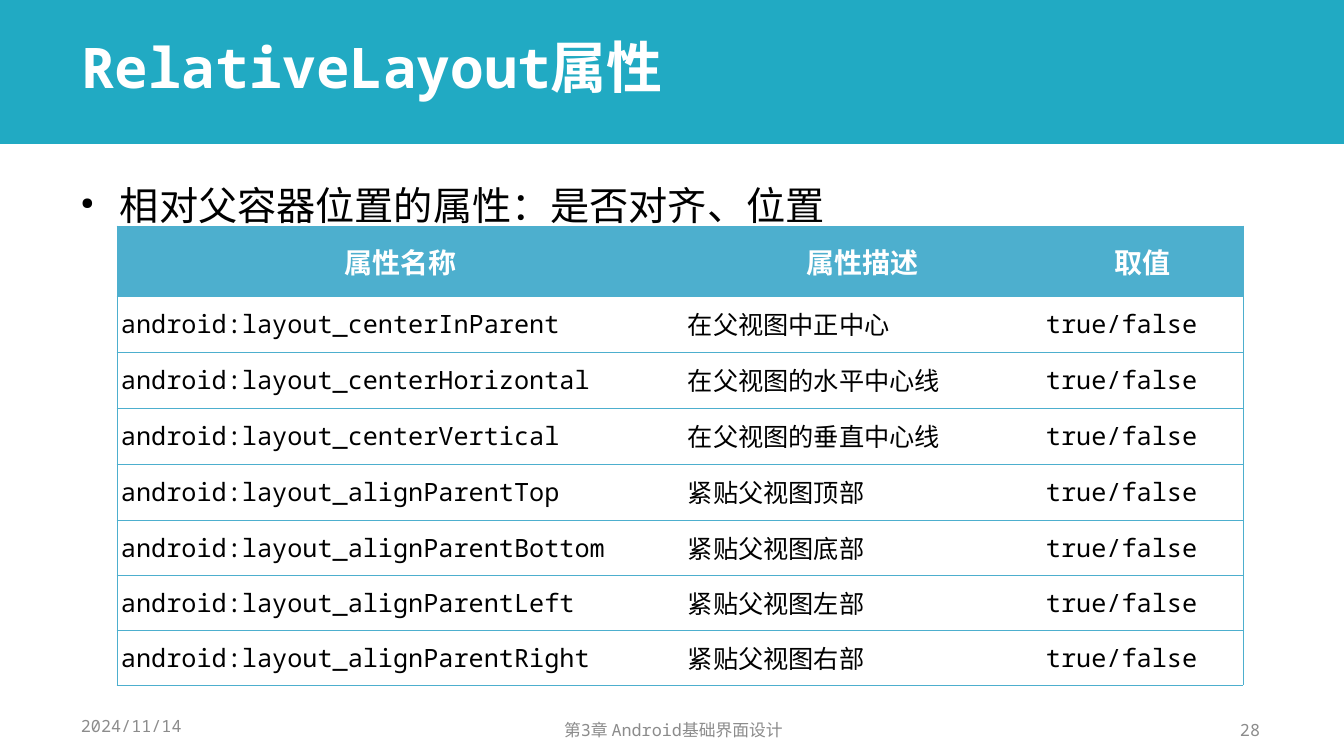
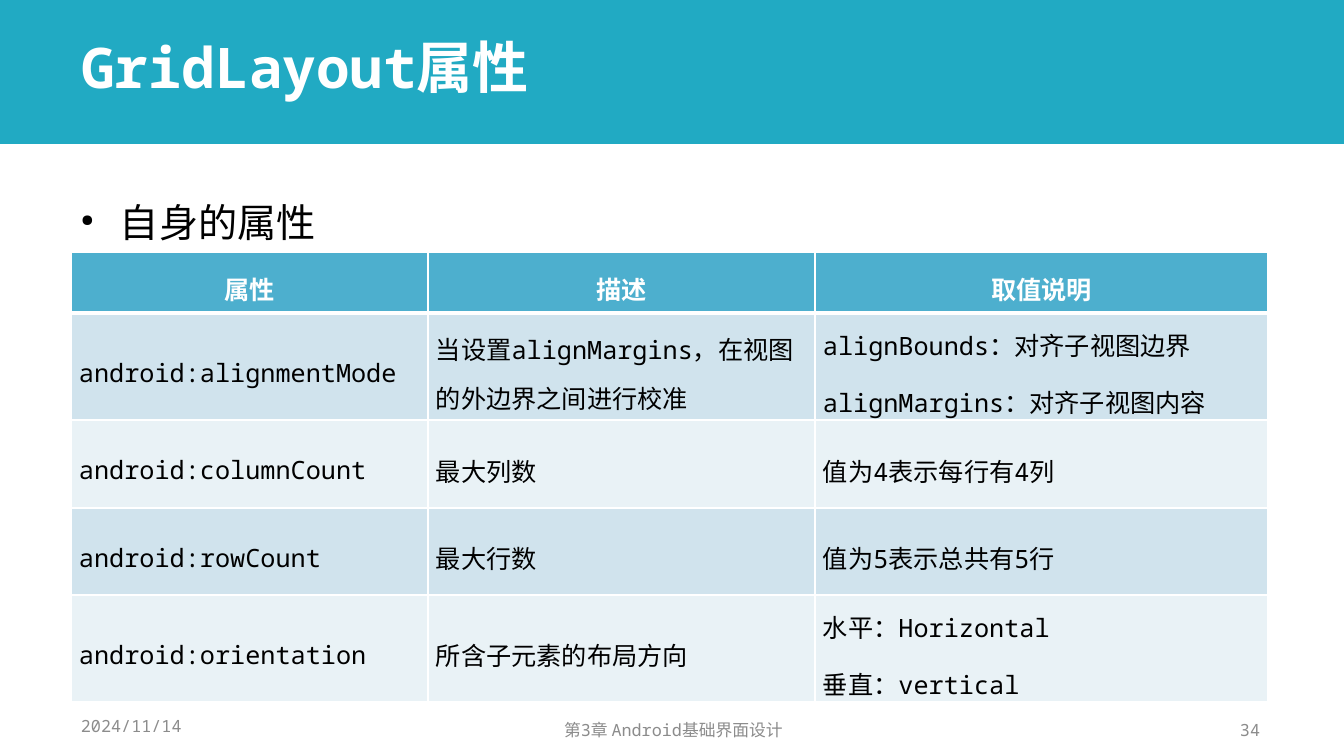
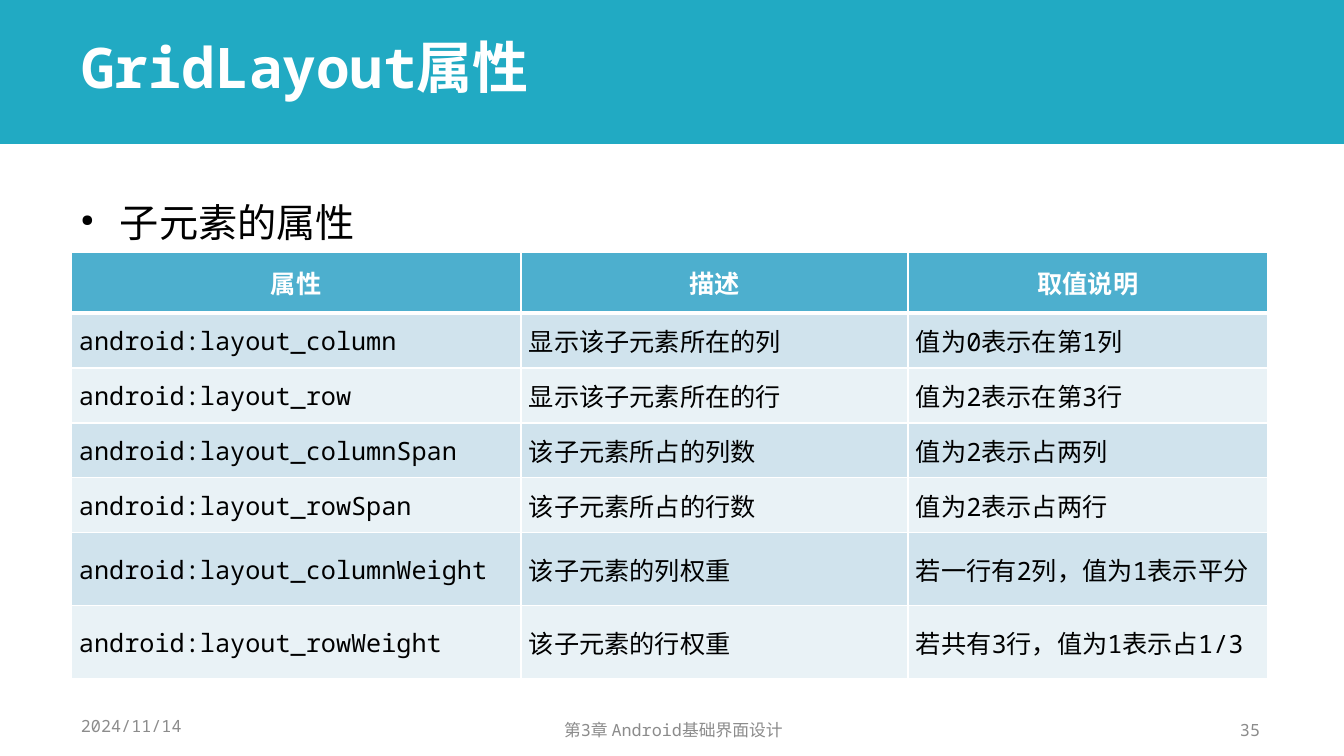
from lxml.etree import SubElement
from pptx import Presentation
from pptx.dml.color import RGBColor
from pptx.enum.lang import MSO_LANGUAGE_ID as Language
from pptx.enum.shapes import MSO_SHAPE as Shape
from pptx.enum.text import MSO_ANCHOR as Anchor, MSO_AUTO_SIZE as AutoSize, PP_ALIGN as Align
from pptx.oxml.ns import qn
from pptx.util import Emu, Pt

SLIDE_WIDTH, SLIDE_HEIGHT = 1344, 756
SCALE = 12192000 / SLIDE_WIDTH
FONT = "Noto Sans Mono"
BAND, ACCENT, GREY = "21AAC3", "4DAFCE", "8C8C8C"
WHITE, BLACK = "FFFFFF", "000000"
STRIPES = ("D0E3ED", "E9F2F6")
TITLE_ONLY = 5

TITLE_BOX = (71, 13, 1197, 93)
BAND_BOX = (-2, -6, 1346, 150)
FOOTERS = [
    ((71, 714, 153, 23), Align.LEFT, "2024/11/14"),
    ((445, 718, 457, 23), Align.CENTER, "第3章 Android基础界面设计"),
]
NUMBER_BOX = (1184, 718, 86, 23)

TITLE_STYLE = {"size": Pt(40), "bold": True, "color": WHITE}
BULLET_STYLE = {"size": Pt(28), "bold": False, "color": BLACK}
FOOTER_STYLE = {"size": Pt(12), "bold": False, "color": GREY}
CELL_STYLE = {"size": Pt(18), "bold": False, "color": BLACK}

LINED = {"head_size": 20, "margin": 4, "fills": (WHITE, WHITE), "line": ACCENT,
         "widths": (0.5, 0.5), "inner_verticals": False}
BANDED = {"head_size": 18, "margin": 8, "fills": STRIPES, "line": WHITE,
          "widths": (1, 3), "inner_verticals": True}

PAGES = [
    {
        "number": 28, "title": "RelativeLayout属性",
        "bullet": "相对父容器位置的属性：是否对齐、位置", "bullet_top": 160,
        "corner": (117, 226), "columns": (567, 358, 201),
        "heights": (70, *[56] * 4, *[55] * 3), "spacing": 1.0, "look": LINED,
        "rows": [
            ("属性名称", "属性描述", "取值"),
            *((f"android:layout_{name}", meaning, "true/false") for name, meaning in (
                ("centerInParent", "在父视图中正中心"),
                ("centerHorizontal", "在父视图的水平中心线"),
                ("centerVertical", "在父视图的垂直中心线"),
                ("alignParentTop", "紧贴父视图顶部"),
                ("alignParentBottom", "紧贴父视图底部"),
                ("alignParentLeft", "紧贴父视图左部"),
                ("alignParentRight", "紧贴父视图右部"),
            )),
        ],
    },
    {
        "number": 34, "title": "GridLayout属性",
        "bullet": "自身的属性", "bullet_top": 177,
        "corner": (71, 252), "columns": (357, 387, 453),
        "heights": (61, 107, 88, 87, 107), "spacing": 1.35, "look": BANDED,
        "rows": [
            ("属性", "描述", "取值说明"),
            ("android:alignmentMode", "当设置alignMargins，在视图的外边界之间进行校准",
             "alignBounds：对齐子视图边界\nalignMargins：对齐子视图内容"),
            ("android:columnCount", "最大列数", "值为4表示每行有4列"),
            ("android:rowCount", "最大行数", "值为5表示总共有5行"),
            ("android:orientation", "所含子元素的布局方向", "水平：Horizontal\n垂直：vertical"),
        ],
    },
    {
        "number": 35, "title": "GridLayout属性",
        "bullet": "子元素的属性", "bullet_top": 177,
        "corner": (71, 252), "columns": (450, 387, 360),
        "heights": (61, *[55] * 4, *[73] * 2), "spacing": 1.0, "look": BANDED,
        "rows": [
            ("属性", "描述", "取值说明"),
            ("android:layout_column", "显示该子元素所在的列", "值为0表示在第1列"),
            ("android:layout_row", "显示该子元素所在的行", "值为2表示在第3行"),
            ("android:layout_columnSpan", "该子元素所占的列数", "值为2表示占两列"),
            ("android:layout_rowSpan", "该子元素所占的行数", "值为2表示占两行"),
            ("android:layout_columnWeight", "该子元素的列权重", "若一行有2列，值为1表示平分"),
            ("android:layout_rowWeight", "该子元素的行权重", "若共有3行，值为1表示占1/3"),
        ],
    },
]


def px(length):
    return Emu(round(length * SCALE))


def place(box):
    return [px(length) for length in box]


def rgb(value):
    return RGBColor.from_string(value)


def write(frame, text, style, align=Align.LEFT, anchor=Anchor.MIDDLE, spacing=1.0):
    """Fill a text frame, one paragraph for each line of text."""
    frame.word_wrap = True
    frame.vertical_anchor = anchor
    for index, line in enumerate(text.split("\n")):
        para = frame.add_paragraph() if index else frame.paragraphs[0]
        para.alignment = align
        para.line_spacing = spacing
        para.space_before = Pt(6 if index else 0)
        span = para.add_run()
        span.text = line
        span.font.color.rgb = rgb(style["color"])
        formats = {"name": FONT, "size": style["size"], "bold": style["bold"],
                   "language_id": Language.SIMPLIFIED_CHINESE}
        for name, value in formats.items():
            setattr(span.font, name, value)


def add_text(page, box, text, style, **layout):
    frame = page.shapes.add_textbox(*place(box)).text_frame
    write(frame, text, style, **layout)
    return frame


def add_band(page):
    """Draw the heading band behind everything else."""
    band = page.shapes.add_shape(Shape.RECTANGLE, *place(BAND_BOX))
    band.shadow.inherit = False
    band.fill.solid()
    band.fill.fore_color.rgb = rgb(BAND)
    band.line.fill.background()
    page.shapes.element.insert(2, band.element)


def add_title(page, text):
    title = page.shapes.title
    for name, value in zip(("left", "top", "width", "height"), place(TITLE_BOX)):
        setattr(title, name, value)
    title.text_frame.auto_size = AutoSize.NONE
    write(title.text_frame, text, TITLE_STYLE, anchor=Anchor.BOTTOM, spacing=0.9)


def add_footers(page, number):
    for box, align, text in [*FOOTERS, (NUMBER_BOX, Align.RIGHT, str(number))]:
        add_text(page, box, text, FOOTER_STYLE, align=align)


def add_bullet(page, top, text):
    frame = add_text(page, (71, top, 1200, 76), text, BULLET_STYLE,
                     anchor=Anchor.TOP, spacing=1.35)
    properties = frame.paragraphs[0]._p.get_or_add_pPr()
    properties.set("marL", str(px(39)))
    properties.set("indent", str(px(-39)))
    SubElement(properties, qn("a:buSzPct"), val="42000")
    SubElement(properties, qn("a:buChar"), char="●")


def set_borders(cell, color, widths):
    """Set the borders of a cell; a width of 0 means no line."""
    properties = cell._tc.get_or_add_tcPr()
    for side, width in widths.items():
        line = SubElement(properties, qn(f"a:ln{side}"), w=str(Pt(width)))
        if width:
            fill = SubElement(line, qn("a:solidFill"))
            SubElement(fill, qn("a:srgbClr"), val=color)
        else:
            SubElement(line, qn("a:noFill"))


def format_cell(cell, row, is_first, is_last, look):
    thin, thick = look["widths"]
    inner = thin if look["inner_verticals"] else 0
    set_borders(cell, look["line"], {
        "L": thin if is_first else inner,
        "R": thin if is_last else inner,
        "T": thick if row == 1 else thin,
        "B": thick if row == 0 else thin,
    })
    cell.fill.solid()
    cell.fill.fore_color.rgb = rgb(look["fills"][(row - 1) % 2] if row else ACCENT)
    margins = {"margin_left": px(look["margin"]), "margin_right": px(look["margin"]),
               "margin_top": 0, "margin_bottom": 0}
    for name, value in margins.items():
        setattr(cell, name, value)
    cell.vertical_anchor = Anchor.MIDDLE


def add_attribute_table(page, corner, columns, heights, rows, spacing, look):
    """Place a table at its top left corner; its size is the sum of its parts."""
    box = (*corner, sum(columns), sum(heights))
    table = page.shapes.add_table(len(rows), len(columns), *place(box)).table
    table.horz_banding = False
    for column, width in zip(table.columns, columns):
        column.width = px(width)
    head_style = {"size": Pt(look["head_size"]), "bold": True, "color": WHITE}
    for row, (texts, height) in enumerate(zip(rows, heights)):
        table.rows[row].height = px(height)
        for column, text in enumerate(texts):
            cell = table.cell(row, column)
            format_cell(cell, row, column == 0, column == len(columns) - 1, look)
            write(cell.text_frame, text, CELL_STYLE if row else head_style,
                  align=Align.LEFT if row else Align.CENTER, spacing=spacing)


def add_page(deck, number, title, bullet, bullet_top, **table):
    page = deck.slides.add_slide(deck.slide_layouts[TITLE_ONLY])
    add_band(page)
    add_title(page, title)
    add_bullet(page, bullet_top, bullet)
    add_attribute_table(page, **table)
    add_footers(page, number)


def main():
    deck = Presentation()
    deck.slide_width, deck.slide_height = px(SLIDE_WIDTH), px(SLIDE_HEIGHT)
    for content in PAGES:
        add_page(deck, **content)
    deck.save("out.pptx")


if __name__ == "__main__":
    main()
